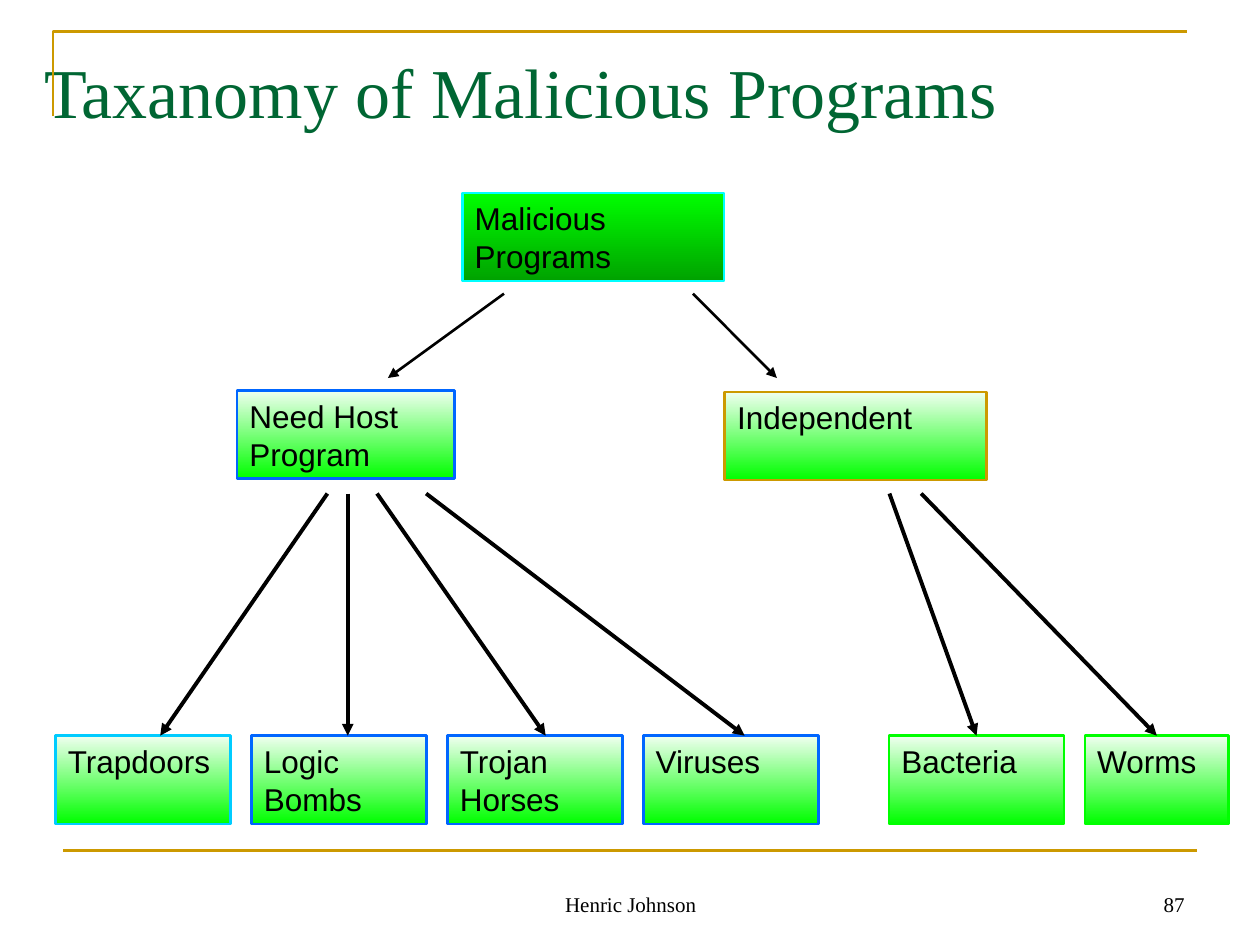
from lxml import etree
from pptx import Presentation
from pptx.dml.color import RGBColor
from pptx.enum.shapes import MSO_CONNECTOR, MSO_SHAPE
from pptx.enum.text import MSO_ANCHOR, MSO_AUTO_SIZE, PP_ALIGN
from pptx.oxml.ns import qn
from pptx.util import Cm, Pt

STRAIGHT = MSO_CONNECTOR.STRAIGHT
RECT = MSO_SHAPE.RECTANGLE
TOP, BOTTOM = MSO_ANCHOR.TOP, MSO_ANCHOR.BOTTOM
LEFT, CENTER, RIGHT = PP_ALIGN.LEFT, PP_ALIGN.CENTER, PP_ALIGN.RIGHT

BLACK = RGBColor(0x00, 0x00, 0x00)
GOLD = RGBColor(0xCC, 0x99, 0x00)
DARK_GREEN = RGBColor(0x00, 0x66, 0x33)
PALE = RGBColor(0xF0, 0xFF, 0xF0)
GREEN = RGBColor(0x00, 0xFF, 0x00)
DEEP_GREEN = RGBColor(0x00, 0xA2, 0x00)
BLUE = RGBColor(0x00, 0x66, 0xFF)
SKY = RGBColor(0x00, 0xCC, 0xFF)
CYAN = RGBColor(0x00, 0xFF, 0xFF)
SERIF, SANS = "Times New Roman", "Arial"

TITLE = "Taxanomy of Malicious Programs"
FOOTER, NUMBER = "Henric Johnson", "87"
BOX_H = 1.78
ROOT = ("Malicious Programs", 9.32, 3.89, 5.28, CYAN)
GROUPS = [
    ("Need Host Program", 4.78, 7.87, 4.39, BLUE),
    ("Independent", 14.61, 7.9, 5.28, GOLD),
]
LEAF_TOP, LEAF_STEP = 14.83, 3.95
LEAVES = [
    (1.12, [("Trapdoors", 3.53, SKY), ("Logic Bombs", 3.53, BLUE),
            ("Trojan\nHorses", 3.53, BLUE), ("Viruses", 3.53, BLUE)]),
    (17.92, [("Bacteria", 3.53, GREEN), ("Worms", 2.9, GREEN)]),
]
ROOT_ARROWS = [(10.16, 7.82), (13.97, 15.66)]
HOST_ARROWS = [(6.6, 3.23), (7.01, 7.01), (7.6, 11), (8.59, 15.01)]
INDEPENDENT_ARROWS = [(17.93, "Bacteria"), (18.57, "Worms")]


def write(shape, text, font=SANS, size=18, color=BLACK, align=LEFT, anchor=TOP):
    tf = shape.text_frame
    tf.word_wrap = True
    tf.auto_size = MSO_AUTO_SIZE.NONE
    tf.vertical_anchor = anchor
    tf.margin_left = tf.margin_right = Cm(0.25)
    tf.margin_top = tf.margin_bottom = Cm(0.13)
    tf.text = text
    for p in tf.paragraphs:
        p.alignment = align
        p.font.name, p.font.size = font, Pt(size)
        p.font.color.rgb = color


def add_box(s, text, x, y, w, border, start=PALE, end=GREEN):
    sp = s.shapes.add_shape(RECT, Cm(x), Cm(y), Cm(w), Cm(BOX_H))
    sp.shadow.inherit = False
    sp.fill.gradient()
    sp.fill.gradient_angle = 270
    for stop, color, position in zip(sp.fill.gradient_stops, (start, end), (0, 1)):
        stop.color.rgb, stop.position = color, position
    sp.line.color.rgb, sp.line.width = border, Pt(1.5)
    write(sp, text)
    return sp


def add_line(s, x1, y1, x2, y2, color=BLACK, width=1.5, arrow=True):
    line = s.shapes.add_connector(STRAIGHT, Cm(x1), Cm(y1), Cm(x2), Cm(y2))
    line.line.color.rgb, line.line.width = color, Pt(width)
    if arrow:
        etree.SubElement(line.line._get_or_add_ln(), qn("a:tailEnd"), type="triangle")
    etree.SubElement(line._element.spPr, qn("a:effectLst"))
    return line


def add_frame(s):
    fb = s.shapes.build_freeform(Cm(1.07), Cm(2.34))
    fb.add_line_segments([(Cm(1.07), Cm(0.64)), (Cm(23.93), Cm(0.64))], close=False)
    sp = fb.convert_to_shape()
    sp.shadow.inherit = False
    sp.fill.background()
    sp.line.color.rgb, sp.line.width = GOLD, Pt(1.5)
    add_line(s, 1.27, 17.15, 24.13, 17.15, color=GOLD, arrow=False)


def main():
    prs = Presentation()
    prs.slide_width, prs.slide_height = Cm(25.4), Cm(19.05)
    s = prs.slides.add_slide(prs.slide_layouts[5])
    add_frame(s)

    for text, x, w, align in [(FOOTER, 8.69, 8.05, CENTER), (NUMBER, 18.21, 5.92, RIGHT)]:
        tb = s.shapes.add_textbox(Cm(x), Cm(17.35), Cm(w), Cm(1.27))
        write(tb, text, font=SERIF, size=12, align=align, anchor=BOTTOM)

    title = s.shapes.title
    title.left, title.top, title.width, title.height = Cm(0.64), Cm(0.84), Cm(24.13), Cm(3.18)
    write(title, TITLE, font=SERIF, size=40, color=DARK_GREEN)

    add_box(s, *ROOT, start=GREEN, end=DEEP_GREEN)
    for group in GROUPS:
        add_box(s, *group)
    leaves = {}
    for left, items in LEAVES:
        for i, (text, w, border) in enumerate(items):
            leaves[text] = add_box(s, text, left + i * LEAF_STEP, LEAF_TOP, w, border)

    for x1, x2 in ROOT_ARROWS:
        add_line(s, x1, 5.92, x2, 7.62)
    for x1, x2 in HOST_ARROWS:
        add_line(s, x1, 9.95, x2, LEAF_TOP, width=2.25)
    for x, name in INDEPENDENT_ARROWS:
        add_line(s, x, 9.95, x, LEAF_TOP, width=2.25).end_connect(leaves[name], 0)

    prs.save("out.pptx")


if __name__ == "__main__":
    main()
